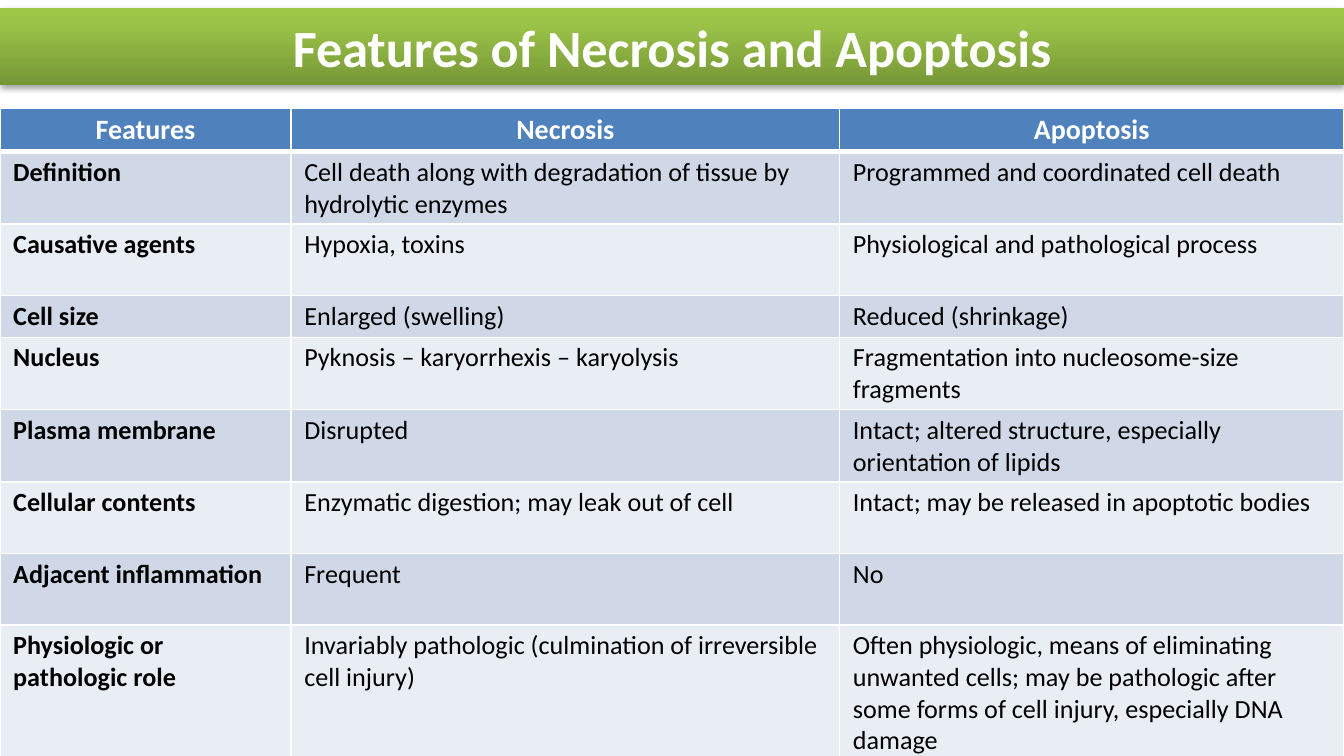
from copy import deepcopy
from dataclasses import dataclass

from lxml import etree
from pptx import Presentation
from pptx import util as u
from pptx.dml.color import RGBColor
from pptx.enum import shapes, text
from pptx.oxml import parse_xml
from pptx.oxml.ns import nsdecls, qn


@dataclass(frozen=True)
class Theme:
    font: str = "Calibri"
    title_size: int = 28
    header_size: int = 15
    body_size: int = 14
    white: str = "FFFFFF"
    black: str = "000000"
    header_fill: str = "4F81BD"
    bands: tuple = ("D0D8E8", "E9EDF4")
    title_stops: tuple = ((0, "779737"), (0.8, "9BC348"), (1, "9DC746"))


@dataclass(frozen=True)
class Row:
    feature: str
    necrosis: str
    apoptosis: str
    height: float = 1.35


THEME = Theme()
PAGE_WIDTH, PAGE_HEIGHT = 25.4, 14.29
COLUMN_WIDTHS = (5.5, 10.37, 9.53)
ROWS = (
    Row("Features", "Necrosis", "Apoptosis", 0.83),
    Row("Definition",
        "Cell death along with degradation of tissue by hydrolytic enzymes",
        "Programmed and coordinated cell death"),
    Row("Causative agents", "Hypoxia, toxins",
        "Physiological and pathological process"),
    Row("Cell size", "Enlarged (swelling)", "Reduced (shrinkage)", 0.79),
    Row("Nucleus", "Pyknosis – karyorrhexis – karyolysis",
        "Fragmentation into nucleosome-size fragments"),
    Row("Plasma membrane", "Disrupted",
        "Intact; altered structure, especially orientation of lipids"),
    Row("Cellular contents", "Enzymatic digestion; may leak out of cell",
        "Intact; may be released in apoptotic bodies"),
    Row("Adjacent inflammation", "Frequent", "No"),
    Row("Physiologic or pathologic role",
        "Invariably pathologic (culmination of irreversible cell injury)",
        "Often physiologic, means of eliminating unwanted cells; may be "
        "pathologic after some forms of cell injury, especially DNA damage",
        2.46),
)


def write(frame, words: str, size: int, color: str, bold: bool, align) -> None:
    para = frame.paragraphs[0]
    para.alignment = align
    span = para.add_run()
    span.text = words
    for name, value in {"name": THEME.font, "size": u.Pt(size), "bold": bold}.items():
        setattr(span.font, name, value)
    span.font.color.rgb = RGBColor.from_string(color)


def add_title(page, words: str) -> None:
    bar = page.shapes.add_shape(shapes.MSO_SHAPE.RECTANGLE, 0, u.Cm(0.15),
                                u.Cm(PAGE_WIDTH), u.Cm(1.45))
    bar.line.fill.background()

    # Three-stop gradient, dark at the bottom
    bar.fill.gradient()
    bar.fill.gradient_angle = 90
    stop_list = next(bar._element.spPr.iter(qn("a:gsLst")))
    stop_list.append(deepcopy(stop_list[0]))
    for stop, (position, color) in zip(bar.fill.gradient_stops, THEME.title_stops):
        stop.position = position
        stop.color.rgb = RGBColor.from_string(color)

    # Soft shadow below the bar
    bar.shadow.inherit = False
    effects = bar._element.spPr.find(qn("a:effectLst"))
    effects.append(parse_xml(
        f'<a:outerShdw {nsdecls("a")} blurRad="{u.Pt(3.1)}" dist="{u.Pt(1.8)}" '
        f'dir="5400000" rotWithShape="0"><a:srgbClr val="{THEME.black}">'
        '<a:alpha val="35000"/></a:srgbClr></a:outerShdw>'))

    frame = bar.text_frame
    for name, value in {"word_wrap": True,
                        "auto_size": text.MSO_AUTO_SIZE.SHAPE_TO_FIT_TEXT,
                        "vertical_anchor": text.MSO_ANCHOR.MIDDLE}.items():
        setattr(frame, name, value)
    write(frame, words, THEME.title_size, THEME.white, True, text.PP_ALIGN.CENTER)


def set_borders(cell, widths: dict[str, float]) -> None:
    properties = cell._tc.get_or_add_tcPr()
    for index, (side, width) in enumerate(widths.items()):
        line = etree.Element(qn(f"a:ln{side}"), w=str(u.Pt(width)))
        fill = etree.SubElement(line, qn("a:solidFill"))
        etree.SubElement(fill, qn("a:srgbClr"), val=THEME.white)
        properties.insert(index, line)


def add_comparison(page, rows: tuple[Row, ...]) -> None:
    height = sum(row.height for row in rows)
    table = page.shapes.add_table(len(rows), len(COLUMN_WIDTHS), 0, u.Cm(2.04),
                                  u.Cm(PAGE_WIDTH), u.Cm(height)).table
    for column, width in zip(table.columns, COLUMN_WIDTHS):
        column.width = u.Cm(width)

    for r, row in enumerate(rows):
        table.rows[r].height = u.Cm(row.height)
        header = r == 0
        fill = THEME.header_fill if header else THEME.bands[(r - 1) % 2]
        size = THEME.header_size if header else THEME.body_size
        color = THEME.white if header else THEME.black
        align = text.PP_ALIGN.CENTER if header else text.PP_ALIGN.LEFT
        borders = {"L": 1, "R": 1, "T": 3 if r == 1 else 1, "B": 3 if header else 1}
        for c, words in enumerate((row.feature, row.necrosis, row.apoptosis)):
            cell = table.cell(r, c)
            for side, margin in {"left": 0.25, "right": 0.25,
                                 "top": 0.09, "bottom": 0.09}.items():
                setattr(cell, f"margin_{side}", u.Cm(margin))
            cell.fill.solid()
            cell.fill.fore_color.rgb = RGBColor.from_string(fill)
            set_borders(cell, borders)
            write(cell.text_frame, words, size, color, header or c == 0, align)


def main() -> None:
    deck = Presentation()
    deck.slide_width, deck.slide_height = u.Cm(PAGE_WIDTH), u.Cm(PAGE_HEIGHT)
    page = deck.slides.add_slide(deck.slide_layouts[6])
    add_title(page, "Features of Necrosis and Apoptosis")
    add_comparison(page, ROWS)
    deck.save("out.pptx")


if __name__ == "__main__":
    main()
